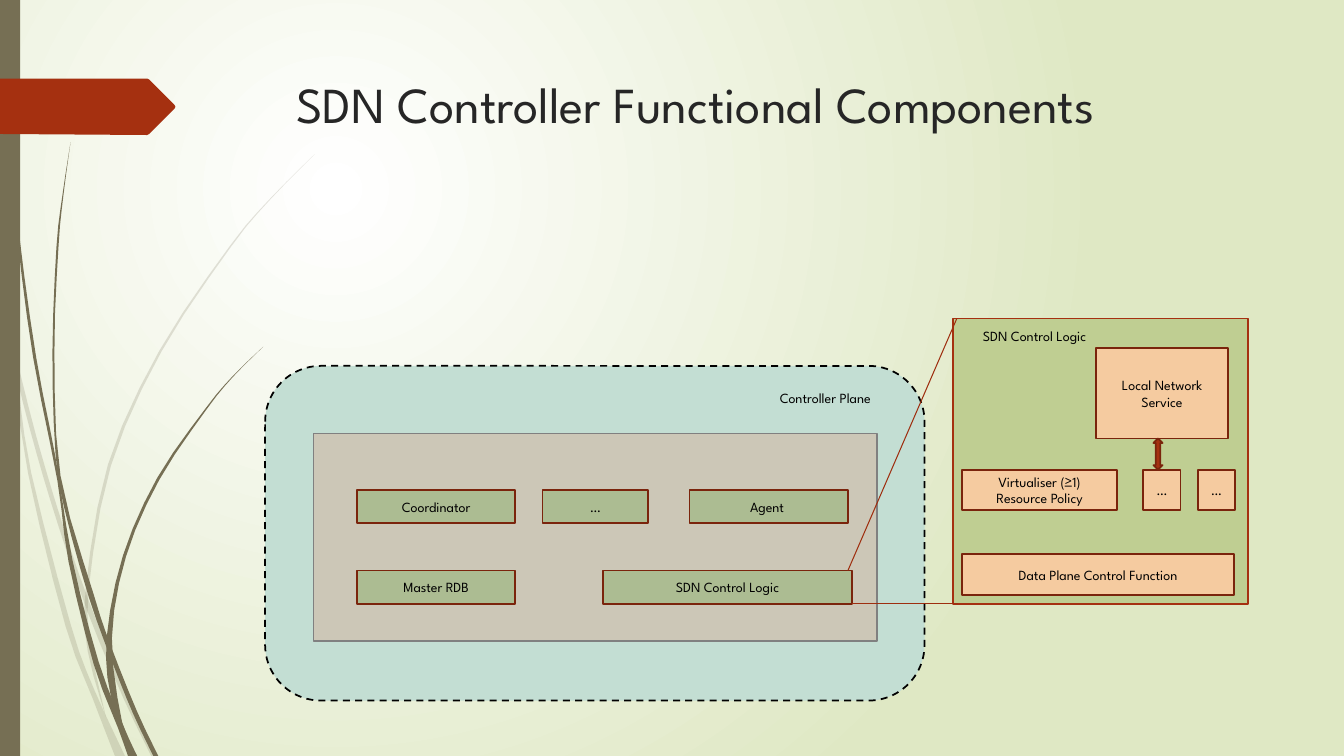
import pptx
import pptx.util
import pptx.dml.color
import pptx.enum.dml
import pptx.enum.shapes
import pptx.enum.text
import pptx.oxml.ns
from lxml import etree

Inches = pptx.util.Inches
SHAPE = pptx.enum.shapes.MSO_SHAPE
qn = pptx.oxml.ns.qn
FONT = "League Spartan"
OLIVE, RUST, DARK_RUST = "766F54", "A53010", "7A240C"
GREEN, PEACH, LIME, MINT = "ACBC92", "F5CBA0", "BFCE92", "C3DED3"

# Each stem: its two edges, from tip to root, in inches
PALE_STEMS = [
    ([(0, 2.82), (.14, 3.45), (.36, 4.33), (.62, 5.2), (.88, 5.96), (1.27, 6.92), (1.55, 7.5)],
     [(0, 2.99), (.17, 3.76), (.36, 4.49), (.58, 5.22), (.88, 6.1), (1.23, 6.94), (1.5, 7.5)]),
    ([(.11, 3.5), (.17, 3.76), (.31, 4.69), (.7, 6.19), (.93, 6.83), (1.24, 7.5)],
     [(.11, 3.5), (.28, 4.7), (.65, 6.21), (.92, 6.93), (1.14, 7.5)]),
    ([(3.12, 1.53), (2.68, 1.98), (2.29, 2.45), (1.6, 3.49), (1.1, 4.62), (.88, 5.84),
      (.91, 6.46), (1.05, 7.11)],
     [(3.12, 1.53), (2.68, 1.97), (2.28, 2.44), (1.58, 3.48), (1.07, 4.61), (.85, 5.84),
      (.87, 6.46), (1.05, 7.11)]),
]
DARK_STEMS = [
    ([(.04, 0), (.08, 1.09), (.19, 2.32), (.36, 3.55), (.55, 4.53), (.72, 5.56), (.98, 6.57),
      (1.22, 7.19), (1.36, 7.5)],
     [(.03, 0), (.07, 1.1), (.17, 2.33), (.33, 3.55), (.57, 4.77), (.68, 5.57), (.93, 6.59),
      (1.17, 7.22), (1.27, 7.5)]),
    ([(.7, 1.41), (.63, 1.93), (.58, 2.45), (.54, 3.49), (.6, 4.72), (.93, 5.9), (1.1, 6.41),
      (1.36, 7.06), (1.57, 7.5)],
     [(.7, 1.41), (.62, 1.93), (.56, 2.45), (.52, 3.49), (.55, 4.49), (.64, 5.05), (.88, 5.92),
      (1.11, 6.56), (1.32, 7.08), (1.52, 7.5)]),
    ([(2.61, 3.44), (2.31, 3.74), (2.05, 4.06), (1.58, 4.76), (1.25, 5.52), (1.11, 6.33),
      (1.21, 7.16), (1.36, 7.5)],
     [(2.61, 3.44), (2.31, 3.73), (2.04, 4.05), (1.56, 4.74), (1.22, 5.51), (1.06, 6.31),
      (1.1, 6.91), (1.33, 7.5)]),
]


def colour(hex_string):
    return pptx.dml.color.RGBColor.from_string(hex_string)


def paint(shape, fill, line=None, width=1.25):
    shape.shadow.inherit = False
    shape.fill.solid()
    shape.fill.fore_color.rgb = colour(fill)
    if line:
        shape.line.color.rgb = colour(line)
        shape.line.width = pptx.util.Pt(width)
    else:
        shape.line.fill.background()


def add_box(slide, box, fill, line=None, text="", kind=SHAPE.RECTANGLE):
    shape = slide.shapes.add_shape(kind, *[Inches(v) for v in box])
    paint(shape, fill, line)
    if text:
        frame = shape.text_frame
        frame.text = text
        frame.word_wrap = True
        frame.vertical_anchor = pptx.enum.text.MSO_ANCHOR.MIDDLE
        for paragraph in frame.paragraphs:
            paragraph.alignment = pptx.enum.text.PP_ALIGN.CENTER
            for run in paragraph.runs:
                run.font.name = FONT
                run.font.size = pptx.util.Pt(10)
                run.font.color.rgb = colour("000000")
    return shape


def add_outline(slide, points, fill):
    corners = [(Inches(x), Inches(y)) for x, y in points]
    builder = slide.shapes.build_freeform(*corners[0])
    builder.add_line_segments(corners[1:], close=True)
    shape = builder.convert_to_shape()
    paint(shape, fill)
    return shape


def smooth_edge(points, steps=3):
    """Catmull-Rom curve through the points."""
    padded = [points[0], *points, points[-1]]
    curve = []
    for a, b, c, d in zip(padded, padded[1:], padded[2:], padded[3:]):
        for step in range(steps):
            t = step / steps
            curve.append(tuple(
                q + t / 2 * (r - p + t * (2 * p - 5 * q + 4 * r - s + t * (3 * (q - r) + s - p)))
                for p, q, r, s in zip(a, b, c, d)))
    return curve + [points[-1]]


def draw_background(slide):
    fill = slide.background.fill
    fill.gradient()
    for stop, shade in zip(fill.gradient_stops, ("FFFFFF", "DFE8C4")):
        stop.color.rgb = colour(shade)
    gradient = slide.element.find(".//" + qn("a:gradFill"))
    gradient.remove(gradient.find(qn("a:lin")))
    glow = etree.SubElement(gradient, qn("a:path"), {"path": "circle"})
    etree.SubElement(glow, qn("a:fillToRect"), l="50000", t="50000", r="100000", b="100000")


def draw_side_decoration(slide, box):
    # Grass stems, pale ones behind
    for stems, opacity in ((PALE_STEMS, 20), (DARK_STEMS, 100)):
        for right_edge, left_edge in stems:
            stem = add_outline(slide, smooth_edge(right_edge) + smooth_edge(left_edge)[::-1], OLIVE)
            if opacity < 100:
                tint = stem.element.spPr.find(".//" + qn("a:srgbClr"))
                etree.SubElement(tint, qn("a:alpha"), val=str(opacity * 1000))
    # Side bar and page flag
    add_box(slide, box, OLIVE)
    left, top = box[0], box[1] + .78
    flag = [(0, 0), (1.46, 0), (1.48, .01), (1.73, .26), (1.74, .28), (1.73, .3),
            (1.48, .55), (1.46, .56), (0, .55)]
    add_outline(slide, [(left + x, top + y) for x, y in flag], RUST)


def draw_title(slide, box):
    title = slide.shapes.title
    title.left, title.top, title.width, title.height = [Inches(v) for v in box]
    title.text_frame.text = "SDN Controller Functional Components"
    title.text_frame.vertical_anchor = pptx.enum.text.MSO_ANCHOR.TOP
    paragraph = title.text_frame.paragraphs[0]
    paragraph.alignment = pptx.enum.text.PP_ALIGN.LEFT
    font = paragraph.runs[0].font
    font.name, font.size = FONT, pptx.util.Pt(36)
    font.color.rgb = colour("262626")


def draw_controller_plane(slide, box):
    left, top = box[:2]
    plane = add_box(slide, box, MINT, "000000", kind=SHAPE.ROUNDED_RECTANGLE)
    plane.line.dash_style = pptx.enum.dml.MSO_LINE.DASH
    add_box(slide, (left + 4.83, top + .1, 1.45, .44), MINT, MINT, "Controller Plane",
            SHAPE.ROUNDED_RECTANGLE)
    add_box(slide, (left + .48, top + .67, 5.59, 2.06), "CCC7B7", "808080")
    # Two rows of components
    rows = [[("Coordinator", .91, 1.57), ("…", 2.75, 1.05), ("Agent ", 4.21, 1.57)],
            [("Master RDB", .91, 1.57), ("SDN Control Logic", 3.35, 2.47)]]
    for row, components in enumerate(rows):
        for name, x, width in components:
            add_box(slide, (left + x, top + 1.23 + row * .8, width, .33), GREEN, DARK_RUST, name)


def draw_control_logic(slide, box):
    left, top = box[:2]
    add_box(slide, box, LIME, RUST)
    add_box(slide, (left + .04, top + .05, 1.54, .24), LIME, LIME, "SDN Control Logic")
    functions = [("Virtualiser (≥1)\nResource Policy", .09, 1.5, 1.54, .4),
                 ("…", 1.89, 1.5, .37, .4),
                 ("…", 2.43, 1.5, .37, .4),
                 ("Data Plane Control Function", .09, 2.34, 2.7, .4),
                 ("Local Network Service", 1.42, .29, 1.31, .9)]
    for name, x, y, width, height in functions:
        add_box(slide, (left + x, top + y, width, height), PEACH, DARK_RUST, name)
    add_box(slide, (left + 1.99, top + 1.19, .09, .31), RUST, DARK_RUST,
            kind=SHAPE.UP_DOWN_ARROW)


def draw_zoom_lines(slide, ends):
    for start, end in ends:
        zoom = slide.shapes.add_connector(pptx.enum.shapes.MSO_CONNECTOR.STRAIGHT,
                                          *[Inches(v) for v in start + end])
        zoom.line.color.rgb = colour("9E2E0F")
        zoom.line.width = pptx.util.Pt(.75)
        etree.SubElement(zoom.element.spPr, qn("a:effectLst"))


def main():
    deck = pptx.Presentation()
    deck.slide_width, deck.slide_height = Inches(13.33), Inches(7.5)
    slide = deck.slides.add_slide(deck.slide_layouts[5])
    draw_background(slide)
    draw_side_decoration(slide, (0, 0, .2, 7.5))
    draw_title(slide, (2.84, .68, 9.75, 1.4))
    draw_controller_plane(slide, (2.63, 3.63, 6.54, 3.32))
    draw_control_logic(slide, (9.45, 3.16, 2.93, 2.83))
    draw_zoom_lines(slide, [((8.45, 5.99), (9.5, 5.99)), ((8.41, 5.66), (9.49, 3.16))])
    deck.save("out.pptx")


if __name__ == "__main__":
    main()
